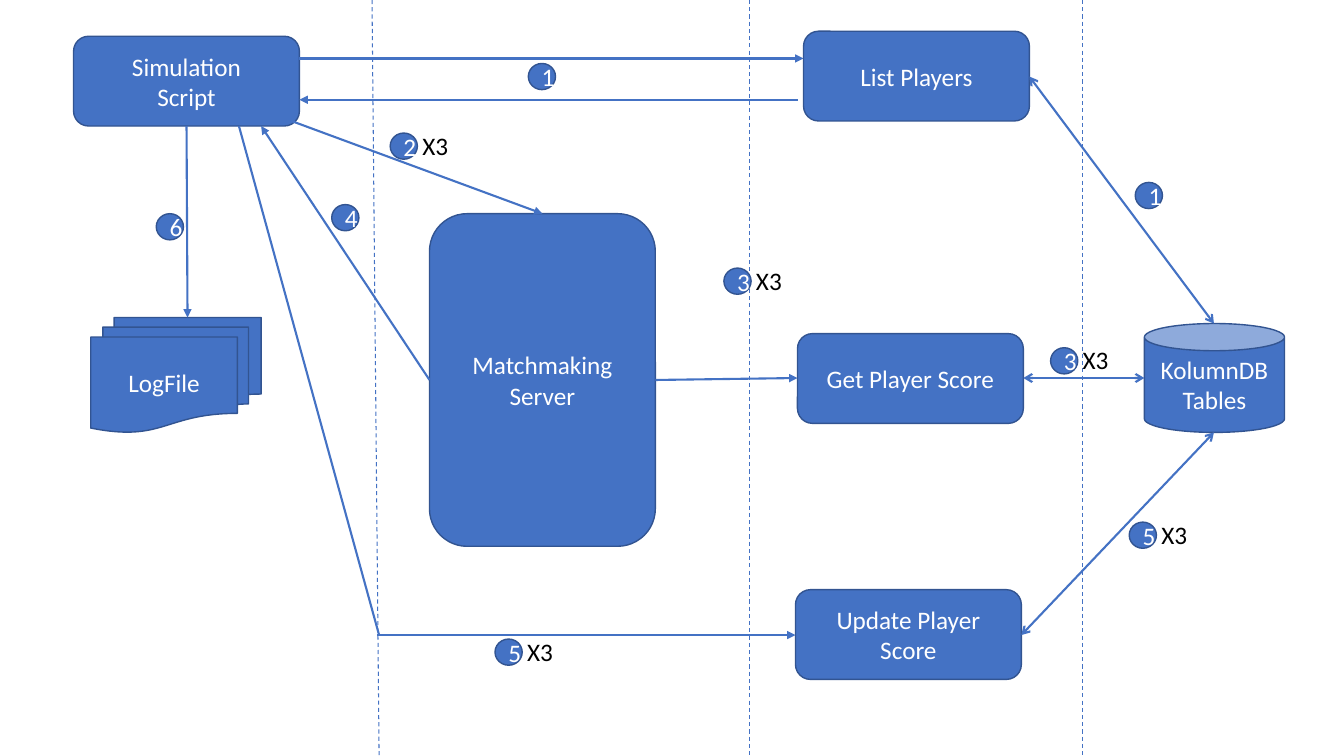
from dataclasses import dataclass

from lxml import etree
from pptx import Presentation
from pptx.dml import color
from pptx.enum import dml, shapes, text
from pptx.oxml import ns
from pptx.util import Inches, Pt

BLUE, EDGE, WHITE, BLACK = "4472C4", "325491", "FFFFFF", "000000"
FONT, SIZE = "Calibri", 18
BOX_W, BOX_H = 2.24, 0.89
DOT_W, DOT_H = 0.27, 0.26
KIND = shapes.MSO_SHAPE


@dataclass
class Node:
    lines: list[str]
    left: float
    top: float
    width: float = BOX_W
    height: float = BOX_H
    kind: KIND = KIND.ROUNDED_RECTANGLE


@dataclass
class Link:
    start: tuple[float, float]
    end: tuple[float, float]
    head: str = ""
    tail: str = "triangle"
    width: float = 1.5
    dashed: bool = False


@dataclass
class Step:
    digit: str
    left: float
    top: float
    times: str = ""


def rgb(code: str) -> color.RGBColor:
    return color.RGBColor.from_string(code)


def write(frame: text, lines: list[str], tint: str, align: text.PP_ALIGN) -> None:
    frame.word_wrap = True
    for i, line in enumerate(lines):
        para = frame.paragraphs[0] if i == 0 else frame.add_paragraph()
        para.alignment = align
        run = para.add_run()
        run.text = line
        run.font.name, run.font.size = FONT, Pt(SIZE)
        run.font.color.rgb = rgb(tint)


def draw_node(slide, node: Node) -> None:
    shape = slide.shapes.add_shape(
        node.kind, Inches(node.left), Inches(node.top),
        Inches(node.width), Inches(node.height))
    shape.shadow.inherit = False
    shape.fill.solid()
    shape.fill.fore_color.rgb = rgb(BLUE)
    shape.line.color.rgb = rgb(EDGE)
    shape.line.width = Pt(1)
    shape.text_frame.vertical_anchor = text.MSO_ANCHOR.MIDDLE
    write(shape.text_frame, node.lines, WHITE, text.PP_ALIGN.CENTER)


def draw_link(slide, link: Link) -> None:
    wire = slide.shapes.add_connector(
        shapes.MSO_CONNECTOR.STRAIGHT,
        *(Inches(n) for n in link.start + link.end))
    wire.line.color.rgb = rgb(BLUE)
    wire.line.width = Pt(link.width)
    if link.dashed:
        wire.line.dash_style = dml.MSO_LINE.DASH
    props = wire.line._get_or_add_ln()
    for tag, tip in (("a:headEnd", link.head), ("a:tailEnd", link.tail)):
        if tip:
            etree.SubElement(props, ns.qn(tag), type=tip)
    etree.SubElement(wire._element.spPr, ns.qn("a:effectLst"))


def draw_step(slide, step: Step) -> None:
    draw_node(slide, Node([step.digit], step.left, step.top, DOT_W, DOT_H, KIND.OVAL))
    if step.times:
        label = slide.shapes.add_textbox(
            Inches(step.left + 0.22), Inches(step.top - 0.08),
            Inches(0.96), Inches(0.4))
        write(label.text_frame, [step.times], BLACK, text.PP_ALIGN.LEFT)


# Lane borders
LANES = [Link((top, 0), (foot, 7.5), tail="", width=0.75, dashed=True)
         for top, foot in ((10.74, 10.74), (7.43, 7.43), (3.69, 3.76))]

# Parts of the system
NODES = [
    Node(["KolumnDB", "Tables"], 11.35, 3.21, 1.39, 1.08, KIND.CAN),
    Node(["Get Player Score"], 7.91, 3.31),
    Node(["List Players"], 7.97, 0.31),
    Node(["Update Player Score"], 7.89, 5.85),
    Node(["Simulation", "Script"], 0.73, 0.36),
    Node(["LogFile"], 0.9, 3.15, 1.69, 1.14, KIND.FLOWCHART_MULTIDOCUMENT),
    Node(["Matchmaking", "Server"], 4.26, 2.12, height=3.3),
]

# Calls between the parts
LINKS = [
    Link((2.97, 0.58), (7.97, 0.58)),
    Link((7.91, 0.99), (2.97, 0.99)),
    Link((1.85, 1.25), (1.86, 3.15)),
    Link((2.89, 1.2), (5.38, 2.12)),
    Link((6.5, 3.77), (7.91, 3.75)),
    Link((10.21, 0.76), (12.04, 3.21), "arrow", "arrow"),
    Link((10.15, 3.75), (11.35, 3.75), "arrow", "arrow"),
    Link((10.13, 6.3), (12.04, 4.29), "arrow", "arrow"),
    Link((2.37, 1.25), (3.76, 6.3), tail=""),
    Link((3.74, 6.3), (7.89, 6.3)),
    Link((4.26, 3.77), (2.59, 1.25)),
]

# Numbered steps
STEPS = [
    Step("1", 5.24, 0.63),
    Step("2", 3.87, 1.32, "X3"),
    Step("3", 7.18, 2.66, "X3"),
    Step("1", 11.26, 1.81),
    Step("3", 10.42, 3.45, "X3"),
    Step("4", 3.29, 2.03),
    Step("5", 4.91, 6.34, "X3"),
    Step("5", 11.2, 5.18, "X3"),
    Step("6", 1.55, 2.12),
]


def main() -> None:
    deck = Presentation()
    deck.slide_width, deck.slide_height = Inches(13.33), Inches(7.5)
    slide = deck.slides.add_slide(deck.slide_layouts[6])
    for lane in LANES:
        draw_link(slide, lane)
    for node in NODES:
        draw_node(slide, node)
    for link in LINKS:
        draw_link(slide, link)
    for step in STEPS:
        draw_step(slide, step)
    deck.save("out.pptx")


if __name__ == "__main__":
    main()
